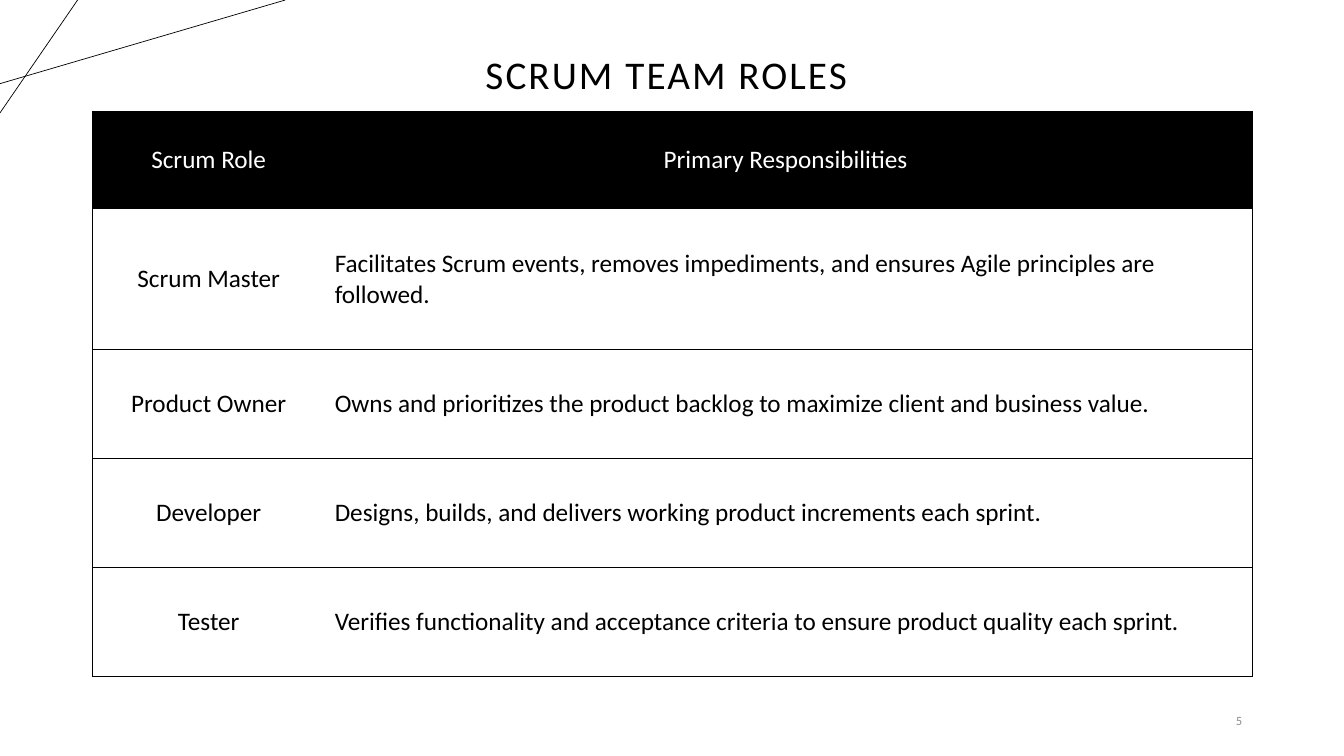
from lxml.etree import SubElement
from pptx import Presentation
from pptx.dml.color import RGBColor
from pptx.enum.shapes import MSO_CONNECTOR as Link
from pptx.enum.text import MSO_ANCHOR as Anchor, PP_ALIGN as Align
from pptx.oxml import parse_xml
from pptx.oxml.ns import nsdecls, qn
from pptx.util import Inches, Pt

TITLE = "SCRUM TEAM ROLES"
PAGE = "5"
ROWS = [
    ("Scrum Role", "Primary Responsibilities "),
    ("Scrum Master", "Facilitates Scrum events, removes impediments, "
                     "and ensures Agile principles are followed."),
    ("Product Owner", "Owns and prioritizes the product backlog "
                      "to maximize client and business value."),
    ("Developer", "Designs, builds, and delivers working product "
                  "increments each sprint."),
    ("Tester", "Verifies functionality and acceptance criteria "
               "to ensure product quality each sprint."),
]
WIDE, HIGH = 13.33, 7.5
SPAN = 11.5
COLS = (SPAN * 0.2, SPAN * 0.8)
TALL = (0.97, 1.4, 1.08, 1.08, 1.08)
RAYS = [((0, 0.83), (2.83, 0)), ((0.77, 0), (0, 1.12))]
FONT, INK, PAPER, GRAY = "Calibri", "000000", "FFFFFF", "8C8C8C"
THIN = Pt(0.5)


def color(code):
    return RGBColor.from_string(code)


def write(frame, text, size, ink, align):
    frame.text = text
    para = frame.paragraphs[0]
    para.alignment = align
    font = para.font
    font.name, font.size, font.color.rgb = FONT, Pt(size), color(ink)
    return para


def add_text(slide, box, text, size, ink, align, anchor):
    frame = slide.shapes.add_textbox(*map(Inches, box)).text_frame
    frame.word_wrap = True
    frame.vertical_anchor = anchor
    return write(frame, text, size, ink, align)


def add_ray(slide, start, end):
    ray = slide.shapes.add_connector(
        Link.STRAIGHT, *map(Inches, start + end))
    ray.line.color.rgb = color(INK)
    ray.line.width = THIN
    SubElement(ray.element.spPr, qn("a:effectLst"))


def rule(cell, sides):
    """Draw the cell's borders on the given sides and clear the others."""
    props = cell._tc.get_or_add_tcPr()
    for spot, side in enumerate("LRTB"):
        fill = "<a:noFill/>"
        if side in sides:
            fill = f'<a:solidFill><a:srgbClr val="{INK}"/></a:solidFill>'
        props.insert(spot, parse_xml(
            f'<a:ln{side} {nsdecls("a")} w="{THIN}">{fill}</a:ln{side}>'))


def add_roles(slide):
    box = (0.92, 1.1, SPAN, sum(TALL))
    table = slide.shapes.add_table(
        len(ROWS), len(COLS), *map(Inches, box)).table
    table.first_row = table.horz_banding = False
    for col, width in zip(table.columns, COLS):
        col.width = Inches(width)
    for r, texts in enumerate(ROWS):
        table.rows[r].height = Inches(TALL[r])
        head = r == 0
        for c, text in enumerate(texts):
            cell = table.cell(r, c)
            cell.vertical_anchor = Anchor.MIDDLE
            cell.fill.solid()
            cell.fill.fore_color.rgb = color(INK if head else PAPER)
            align = Align.CENTER if head or c == 0 else Align.LEFT
            write(cell.text_frame, text, 18, PAPER if head else INK, align)
            rule(cell, "LR"[c] + "TB")


def main():
    deck = Presentation()
    deck.slide_width, deck.slide_height = Inches(WIDE), Inches(HIGH)
    slide = deck.slides.add_slide(deck.slide_layouts[6])
    for start, end in RAYS:
        add_ray(slide, start, end)
    title = add_text(slide, (0.86, 0.31, SPAN, 0.71), TITLE, 28, INK,
                     Align.CENTER, Anchor.BOTTOM)
    title.line_spacing = 0.9
    title.runs[0]._r.get_or_add_rPr().set("spc", "150")
    add_roles(slide)
    add_text(slide, (11.34, 6.95, 1.08, 0.4), PAGE, 9, GRAY,
             Align.RIGHT, Anchor.MIDDLE)
    deck.save("out.pptx")


if __name__ == "__main__":
    main()
